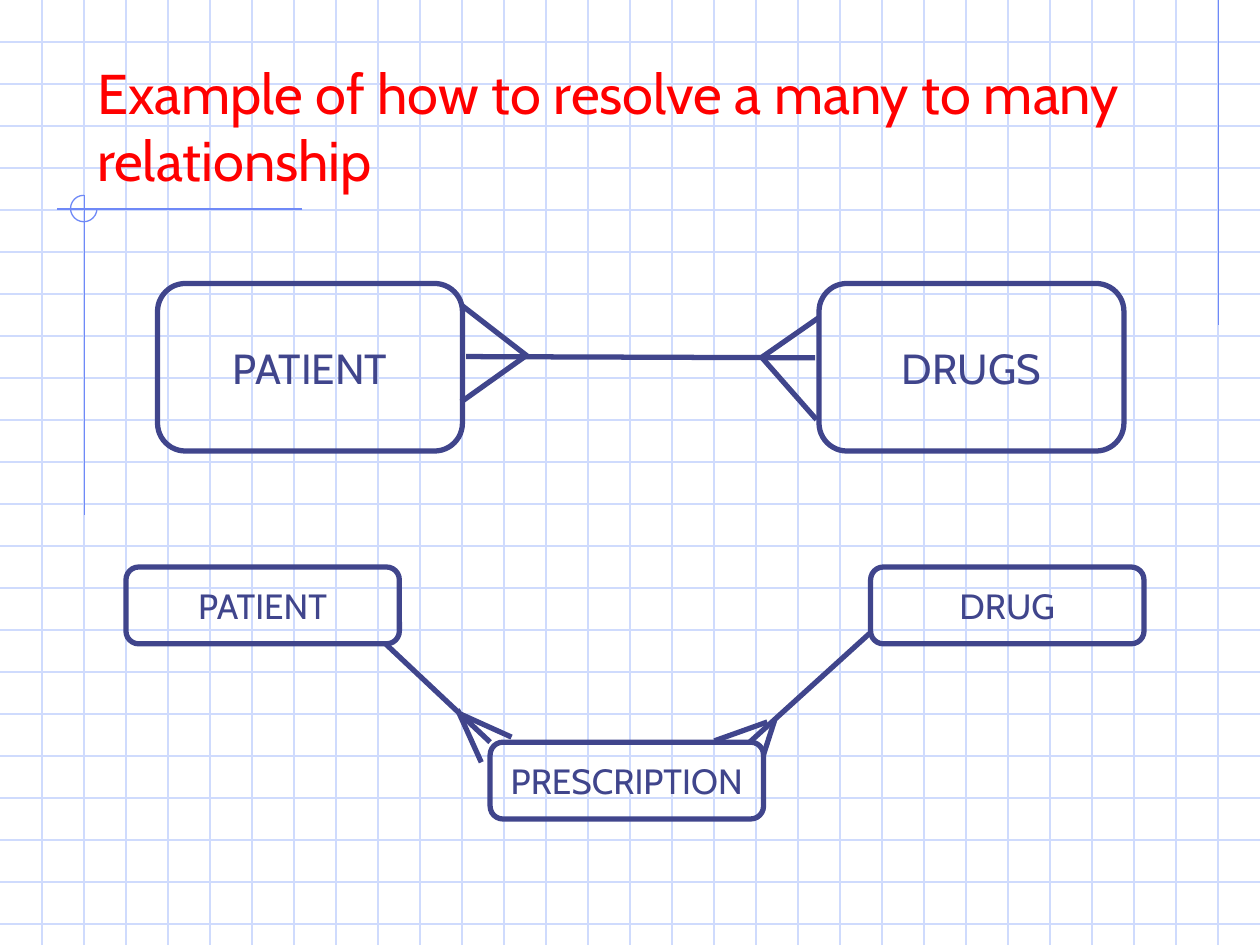
"""Build a slide on resolving a many to many relationship."""
import pptx
import pptx.dml.color
import pptx.enum.shapes
import pptx.enum.text
import pptx.oxml.ns
import pptx.util
import lxml.etree

Inches = pptx.util.Inches
KIND = pptx.enum.shapes.MSO_SHAPE
ALIGN = pptx.enum.text.PP_ALIGN
ANCHOR = pptx.enum.text.MSO_ANCHOR

THEME = {
    "font": "Cabin",
    "red": "FF0000", "ink": "40458C", "grid": "CFDBFD", "trim": "6F89F7",
    "head": 32, "large": 24, "small": 20,
    "thin": 0.75, "thick": 3,
}
WIDE, HIGH, CELLS = 10, 7.5, 3

TITLE = "Example of how to resolve a many to many relationship"
TRIM = [(9.67, 0, 9.67, 2.58), (2.4, 1.66, 0.45, 1.66), (0.67, 1.55, 0.67, 4.09)]
RING = (0.56, 1.55, 0.21, 0.21)

MANY = {
    "size": "large", "box": (2.42, 1.33),
    "names": [("PATIENT", 1.25, 2.25), ("DRUGS", 6.5, 2.25)],
    "links": [
        (3.7, 2.83, 6.47, 2.84),
        (6.04, 2.83, 6.48, 3.33), (6.04, 2.84, 6.5, 2.52),
        (3.66, 2.42, 4.19, 2.83), (3.66, 3.19, 4.18, 2.82),
    ],
}
SOLVED = {
    "size": "small", "box": (2.17, 0.61),
    "names": [("PATIENT", 1, 4.5), ("DRUG", 6.91, 4.5), ("PRESCRIPTION", 3.89, 5.89)],
    "links": [
        (3.06, 5.11, 3.89, 5.89), (6.91, 5.02, 5.95, 5.89),
        (3.66, 5.67, 4.06, 5.85), (3.63, 5.63, 3.82, 6.05),
        (6.09, 5.73, 5.67, 5.88), (6.15, 5.71, 6.06, 5.99),
    ],
}


def tint(name):
    return pptx.dml.color.RGBColor.from_string(THEME[name])


def write(shape, text, size, color, align=ALIGN.LEFT, anchor=ANCHOR.MIDDLE, wrap=True):
    frame = shape.text_frame
    frame.text = text
    frame.word_wrap = wrap
    frame.auto_size = pptx.enum.text.MSO_AUTO_SIZE.NONE
    frame.vertical_anchor = anchor
    frame.margin_left = frame.margin_right = Inches(0.1)
    frame.margin_top = frame.margin_bottom = Inches(0.05)
    para = frame.paragraphs[0]
    para.alignment = align
    para.font.name = THEME["font"]
    para.font.size = pptx.util.Pt(THEME[size])
    para.font.color.rgb = tint(color)


def stroke(shape, color, width):
    shape.line.color.rgb = tint(color)
    shape.line.width = pptx.util.Pt(THEME[width])


def draw(slide, ends, color, width):
    kind = pptx.enum.shapes.MSO_CONNECTOR.STRAIGHT
    line = slide.shapes.add_connector(kind, *map(Inches, ends))
    stroke(line, color, width)
    props = line._element.spPr
    lxml.etree.SubElement(props, pptx.oxml.ns.qn("a:effectLst"))


def outline(slide, kind, place, color, width):
    shape = slide.shapes.add_shape(kind, *map(Inches, place))
    shape.shadow.inherit = False
    shape.fill.background()
    stroke(shape, color, width)
    return shape


def paper(slide):
    rows = [(0, n / CELLS, WIDE, n / CELLS) for n in range(1, int(HIGH * CELLS) + 1)]
    cols = [(n / CELLS, 0, n / CELLS, HIGH) for n in range(1, WIDE * CELLS)]
    for ends in rows + cols:
        draw(slide, ends, "grid", "thin")
    for ends in TRIM:
        draw(slide, ends, "trim", "thin")
    ring = outline(slide, KIND.ARC, RING, "trim", "thin")
    ring.adjustments[0] = 0
    ring.adjustments[1] = 162


def head(slide):
    title = slide.shapes.title
    title.left, title.top, title.width, title.height = map(Inches, (0.67, 0.33, 8.5, 1.25))
    write(title, TITLE, "head", "red", anchor=ANCHOR.BOTTOM)
    slide.shapes._spTree.append(title._element)


def model(slide, part):
    for name, left, top in part["names"]:
        place = (left, top, *part["box"])
        box = outline(slide, KIND.FLOWCHART_ALTERNATE_PROCESS, place, "ink", "thick")
        write(box, name, part["size"], "ink", align=ALIGN.CENTER, wrap=False)
    for ends in part["links"]:
        draw(slide, ends, "ink", "thick")


def main():
    deck = pptx.Presentation()
    deck.slide_width, deck.slide_height = Inches(WIDE), Inches(HIGH)
    slide = deck.slides.add_slide(deck.slide_layouts[5])
    paper(slide)
    head(slide)
    for part in (MANY, SOLVED):
        model(slide, part)
    deck.save("out.pptx")


if __name__ == "__main__":
    main()
